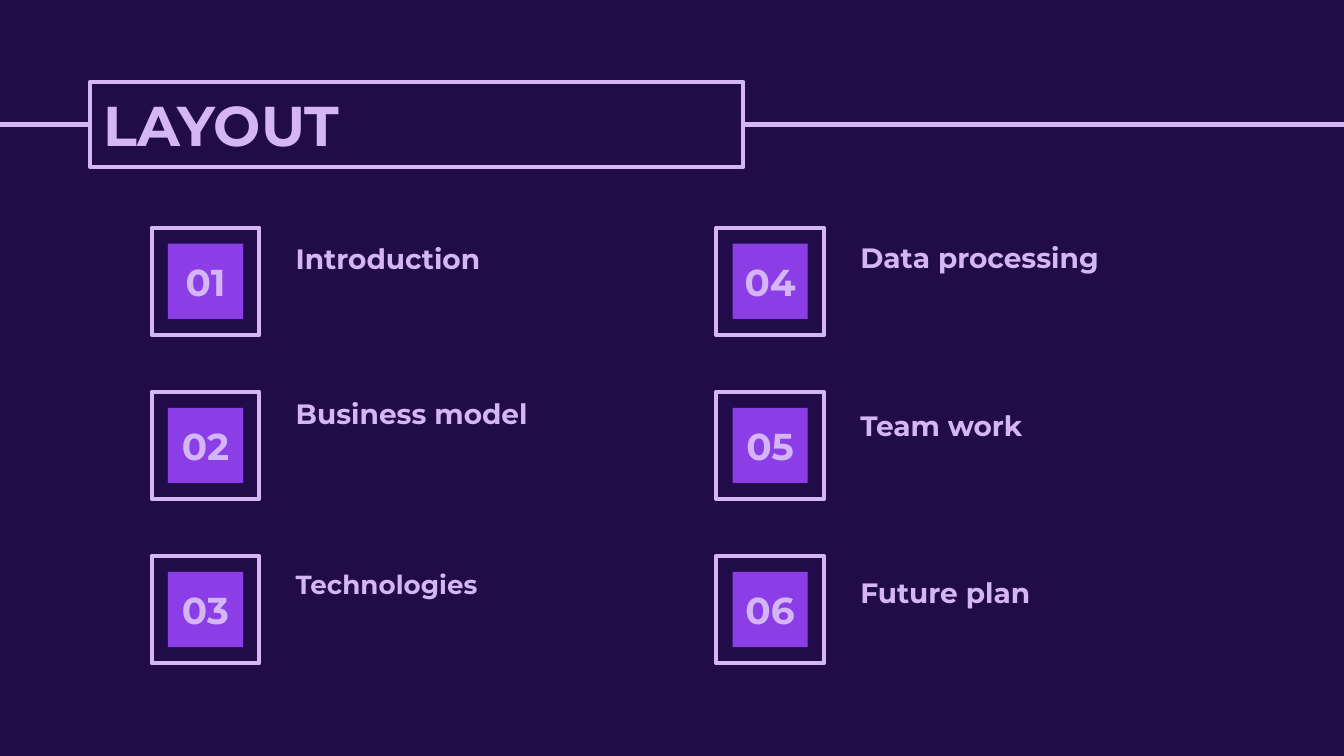
from dataclasses import dataclass

from lxml import etree
from pptx import Presentation
from pptx.dml.color import RGBColor
from pptx.enum.shapes import MSO_CONNECTOR, MSO_SHAPE
from pptx.enum.text import MSO_ANCHOR, MSO_AUTO_SIZE, PP_ALIGN
from pptx.oxml.ns import qn
from pptx.util import Cm, Pt

RECT = MSO_SHAPE.RECTANGLE
LINE = MSO_CONNECTOR.STRAIGHT
TOP, MID = MSO_ANCHOR.TOP, MSO_ANCHOR.MIDDLE
LEFT, MIDST = PP_ALIGN.LEFT, PP_ALIGN.CENTER
FIXED = MSO_AUTO_SIZE.NONE


@dataclass(frozen=True)
class Theme:
    back: RGBColor = RGBColor(0x22, 0x0B, 0x49)
    pale: RGBColor = RGBColor(0xD4, 0xB6, 0xF6)
    vivid: RGBColor = RGBColor(0x8C, 0x3E, 0xE6)
    font: str = "Montserrat"
    head: int = 30
    num: int = 20
    label: int = 15
    small: int = 14
    rule: float = 2.25


THEME = Theme()
WIDE, HIGH = 25.4, 14.28
INSET = 0.25

# Grid of numbered items
COLS = (2.87, 13.54)
FIRST, PITCH = 4.3, 3.1
FRAME, CORE = 2.03, 1.42

# Label text, vertical shift from its frame, type size; column by column
ITEMS = (
    (("Introduction", -0.08, THEME.label),
     ("Business model", -0.26, THEME.label),
     ("Technologies", -0.11, THEME.small)),
    (("Data processing", -0.11, THEME.label),
     ("Team work", -0.03, THEME.label),
     ("Future plan", 0.02, THEME.label)),
)


def place(shape, box):
    shape.left, shape.top, shape.width, shape.height = map(Cm, box)


def stroke(line):
    line.color.rgb = THEME.pale
    line.width = Pt(THEME.rule)


def write(shape, text, size, align=LEFT, anchor=MID, space=1.0):
    frame = shape.text_frame
    frame.word_wrap = True
    frame.auto_size = FIXED
    frame.vertical_anchor = anchor
    frame.margin_left = frame.margin_right = Cm(INSET)
    frame.margin_top = frame.margin_bottom = Cm(INSET)
    para = frame.paragraphs[0]
    para.alignment = align
    para.line_spacing = space
    run = para.add_run()
    run.text = text
    run.font.name = THEME.font
    run.font.size = Pt(size)
    run.font.bold = True
    run.font.color.rgb = THEME.pale


def header(slide, box):
    """Framed title over a rule that spans the slide."""
    left, top, width, height = box
    mid = Cm(top + height / 2)
    rule = slide.shapes.add_connector(LINE, 0, mid, Cm(WIDE), mid)
    stroke(rule.line)
    etree.SubElement(rule.element.spPr, qn("a:effectLst"))
    # The rule goes behind the title
    slide.shapes.element.insert(2, rule.element)

    title = slide.shapes.title
    place(title, box)
    title.fill.solid()
    title.fill.fore_color.rgb = THEME.back
    stroke(title.line)
    write(title, "LAYOUT", THEME.head)


def badge(slide, box, num):
    """Square in a frame, with its number on top."""
    left, top, side, _ = box
    group = slide.shapes.add_group_shape()
    frame = group.shapes.add_shape(RECT, *map(Cm, box))
    frame.shadow.inherit = False
    frame.fill.background()
    stroke(frame.line)

    gap = (side - CORE) / 2
    core = group.shapes.add_shape(
        RECT, Cm(left + gap), Cm(top + gap), Cm(CORE), Cm(CORE))
    core.shadow.inherit = False
    core.fill.solid()
    core.fill.fore_color.rgb = THEME.vivid
    core.line.fill.background()

    tall = 0.97
    text = slide.shapes.add_textbox(
        Cm(left), Cm(top + (side - tall) / 2), Cm(side), Cm(tall))
    write(text, f"{num:02d}", THEME.num, MIDST)


def item(slide, box, num, label, shift, size):
    """Badge with its label to the right."""
    left, top, width, height = box
    badge(slide, (left, top, FRAME, FRAME), num)
    inset = 2.47
    text = slide.shapes.add_textbox(
        Cm(left + inset), Cm(top + shift), Cm(width - inset), Cm(1.17))
    write(text, label, size, anchor=TOP, space=1.15)


def main():
    deck = Presentation()
    deck.slide_width, deck.slide_height = Cm(WIDE), Cm(HIGH)
    slide = deck.slides.add_slide(deck.slide_layouts[5])
    slide.background.fill.solid()
    slide.background.fill.fore_color.rgb = THEME.back

    header(slide, (1.7, 1.55, 12.35, 1.6))
    num = 0
    for left, group in zip(COLS, ITEMS):
        for row, entry in enumerate(group):
            num += 1
            item(slide, (left, FIRST + row * PITCH, 9.02, FRAME), num, *entry)
    deck.save("out.pptx")


if __name__ == "__main__":
    main()
